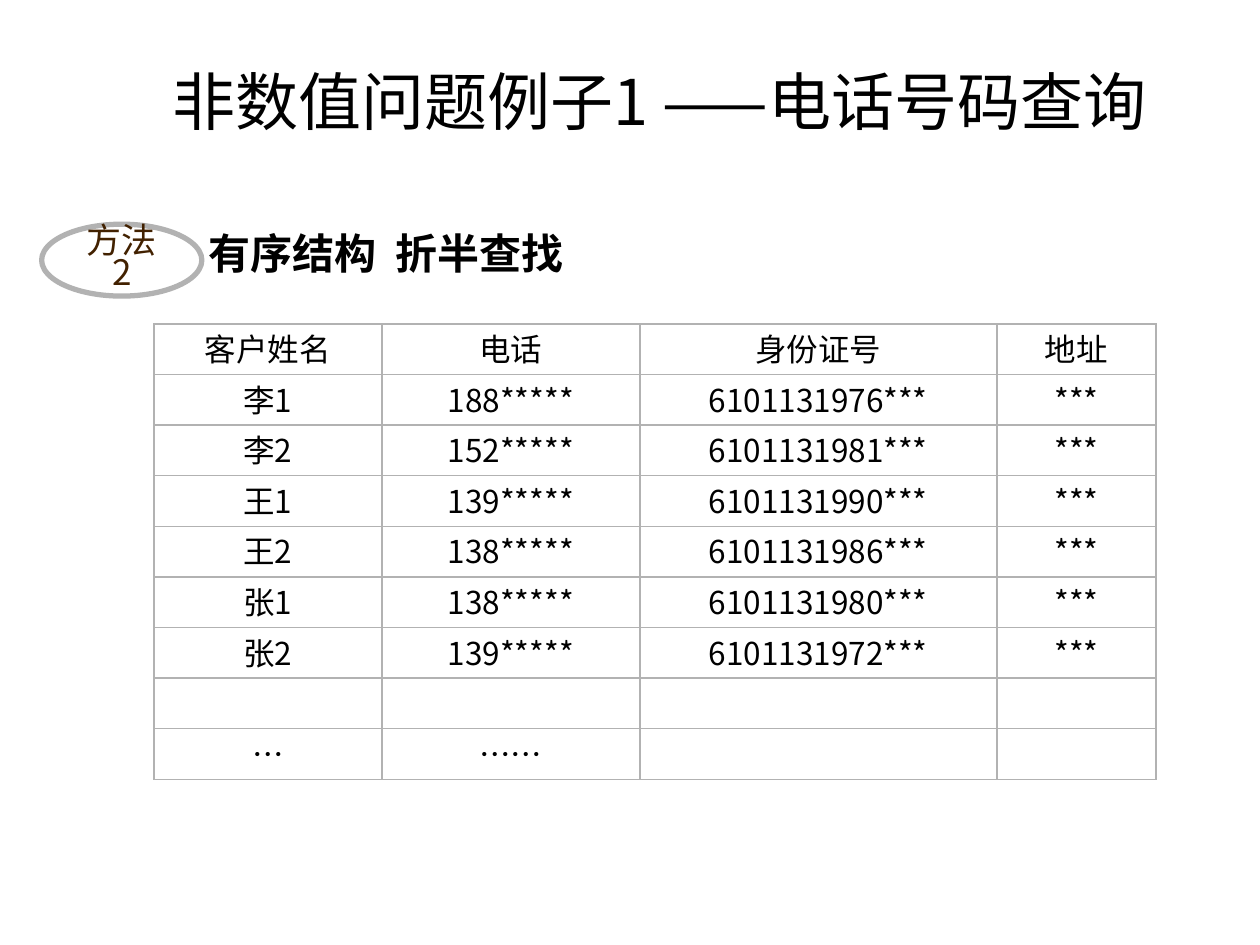
import dataclasses

import lxml.etree
import pptx
import pptx.dml.color
import pptx.enum.shapes
import pptx.enum.text
import pptx.oxml.ns
import pptx.util

Cm = pptx.util.Cm
Pt = pptx.util.Pt
ALIGN = pptx.enum.text.PP_ALIGN
ANCHOR = pptx.enum.text.MSO_ANCHOR
SHAPE = pptx.enum.shapes.MSO_SHAPE
qn = pptx.oxml.ns.qn

COLORS = {"ink": "000000", "brown": "422100", "gray": "B2B2B2", "white": "FFFFFF"}
SANS = "Noto Sans CJK SC"
HEADS = ("客户姓名", "电话", "身份证号", "地址")
CLIENTS = (
    ("李1", "188", "1976"),
    ("李2", "152", "1981"),
    ("王1", "139", "1990"),
    ("王2", "138", "1986"),
    ("张1", "138", "1980"),
    ("张2", "139", "1972"),
)
WIDTHS = (4.6, 5.2, 7.2, 3.2)
HEIGHT = 1.02


@dataclasses.dataclass
class Style:
    size: float
    color: str = "ink"
    face: str = SANS
    bold: bool = False
    align: ALIGN = ALIGN.CENTER
    lines: float = 0.9


@dataclasses.dataclass
class Label:
    text: str
    kind: SHAPE
    box: tuple[float, float, float, float]
    pads: tuple[float, float]
    anchor: ANCHOR
    style: Style
    border: float = 0


LABELS = (
    Label("有序结构  折半查找", SHAPE.RECTANGLE, (3.91, 4.7, 10.29, 1.24), (0.3, 0),
          ANCHOR.TOP, Style(24, bold=True, align=ALIGN.LEFT)),
    Label("方法2", SHAPE.OVAL, (0.84, 4.52, 3.23, 1.45), (0.25, 0.13),
          ANCHOR.MIDDLE, Style(20, "brown", lines=0.75), border=3),
)


def tint(name: str) -> pptx.dml.color.RGBColor:
    return pptx.dml.color.RGBColor.from_string(COLORS[name])


def write(frame, text: str, style: Style) -> None:
    frame.text = text
    para = frame.paragraphs[0]
    para.alignment = style.align
    para.line_spacing = style.lines
    font = para.font
    font.size = Pt(style.size)
    font.bold = style.bold
    font.name = style.face
    font.color.rgb = tint(style.color)
    props = para._p.pPr.find(qn("a:defRPr"))
    asian = lxml.etree.SubElement(props, qn("a:ea"))
    asian.set("typeface", style.face)


def add_title(slide) -> None:
    title = slide.shapes.title
    title.left, title.top, title.width, title.height = map(Cm, (2.69, 1.12, 21.21, 1.8))
    frame = title.text_frame
    frame.word_wrap = True
    frame.auto_size = pptx.enum.text.MSO_AUTO_SIZE.NONE
    frame.vertical_anchor = ANCHOR.MIDDLE
    write(frame, "非数值问题例子1 ——电话号码查询",
          Style(36, face="Noto Sans CJK JP", lines=1.0))


def add_label(slide, label: Label) -> None:
    shape = slide.shapes.add_shape(label.kind, *map(Cm, label.box))
    shape.shadow.inherit = False
    shape.fill.solid()
    shape.fill.fore_color.rgb = tint("white")
    if label.border:
        shape.line.color.rgb = tint("gray")
        shape.line.width = Pt(label.border)
    else:
        shape.line.fill.background()
    frame = shape.text_frame
    frame.word_wrap = True
    frame.vertical_anchor = label.anchor
    side, edge = map(Cm, label.pads)
    frame.margin_left = frame.margin_right = side
    frame.margin_top = frame.margin_bottom = edge
    write(frame, label.text, label.style)


def add_edges(cell) -> None:
    props = cell._tc.get_or_add_tcPr()
    for rank, tag in enumerate(("a:lnL", "a:lnR", "a:lnT", "a:lnB")):
        line = lxml.etree.Element(qn(tag), w=str(int(Pt(1))))
        fill = lxml.etree.SubElement(line, qn("a:solidFill"))
        lxml.etree.SubElement(fill, qn("a:srgbClr"), val=COLORS["gray"])
        props.insert(rank, line)


def add_clients(slide) -> None:
    body = [(name, f"{code}*****", f"610113{year}***", "***")
            for name, code, year in CLIENTS]
    rows = [HEADS, *body, ("",) * 4, ("…", "……", "", "")]
    frame = slide.shapes.add_table(len(rows), len(HEADS), Cm(3.1), Cm(6.53),
                                   Cm(sum(WIDTHS)), Cm(HEIGHT * len(rows)))
    table = frame.table
    table.first_row = table.horz_banding = False
    for column, width in zip(table.columns, WIDTHS):
        column.width = Cm(width)
    for row, texts in zip(table.rows, rows):
        row.height = Cm(HEIGHT)
        for cell, text in zip(row.cells, texts):
            cell.fill.background()
            cell.vertical_anchor = ANCHOR.MIDDLE
            cell.margin_top = cell.margin_bottom = Cm(0.05)
            write(cell.text_frame, text, Style(18))
            add_edges(cell)


def main() -> None:
    deck = pptx.Presentation()
    deck.slide_width, deck.slide_height = Cm(25.4), Cm(19.05)
    slide = deck.slides.add_slide(deck.slide_layouts[5])
    add_title(slide)
    for label in LABELS:
        add_label(slide, label)
    add_clients(slide)
    deck.save("out.pptx")


if __name__ == "__main__":
    main()
